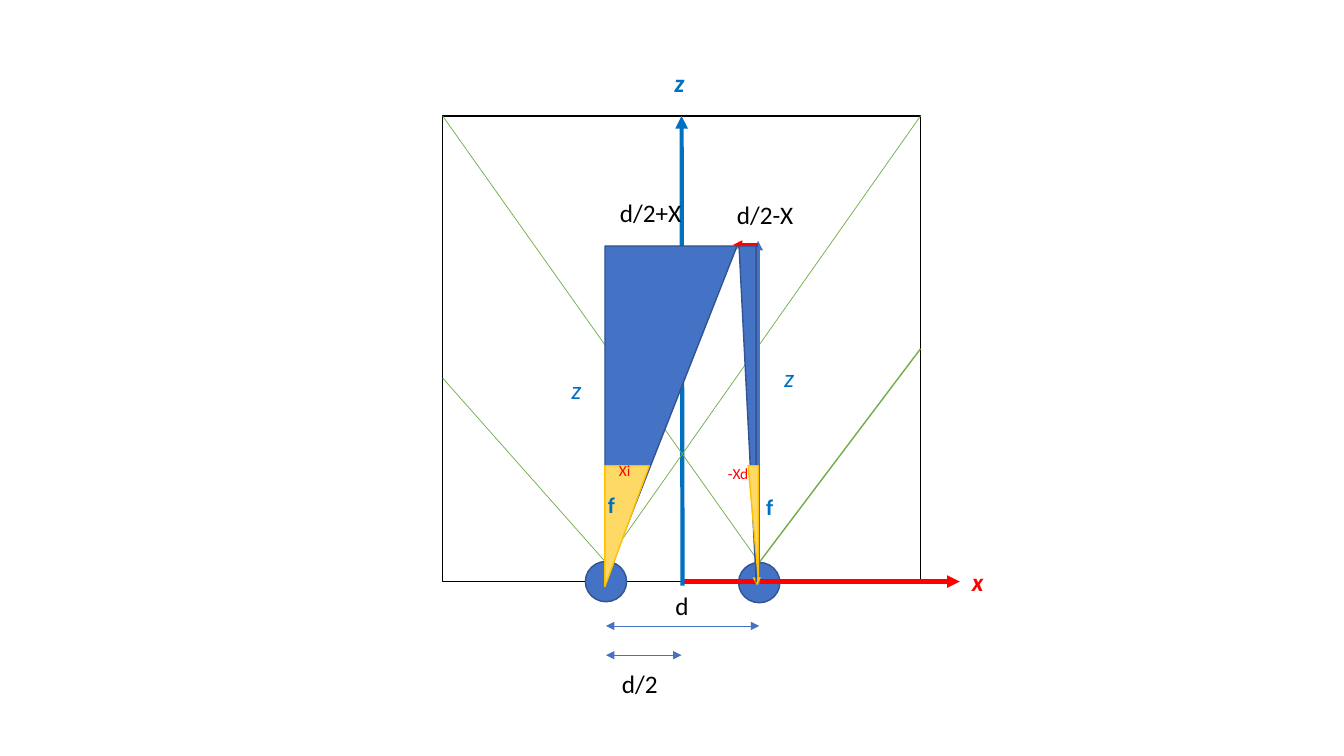
from pptx import Presentation
from pptx.dml.color import RGBColor
from pptx.enum.dml import MSO_LINE_DASH_STYLE as DASH
from pptx.enum.shapes import MSO_CONNECTOR, MSO_SHAPE as SHAPE
from pptx.enum.text import MSO_AUTO_SIZE
from pptx.oxml.ns import qn
from pptx.oxml.xmlchemy import OxmlElement
from pptx.util import Inches, Pt

BLACK, RED, BLUE, AXIS_BLUE = "000000", "FF0000", "4472C4", "0070C0"
NAVY, GREEN, GOLD, YELLOW = "325491", "70AD47", "FFC000", "FFD966"

# Landmarks in grid cells
LEFT, RIGHT, TOP, BASE = 43.9, 91.3, 11.5, 57.7
CENTER = (LEFT + RIGHT) / 2
LEFT_EYE, RIGHT_EYE, EYE_TOP = 60.1, 75.3, 55.8
EYE_W, EYE_H = 4.1, 4
DEPTH, FOCUS = 24.4, 46.2


def rgb(hex_string):
    return RGBColor.from_string(hex_string)


class Diagram:
    """Draws on one slide; lengths are columns and rows of a tenth of an inch."""
    font = "Calibri"
    cell = Inches(0.1)

    def __init__(self, slide):
        self.shapes = slide.shapes

    def grid(self, *cells):
        return [round(c * self.cell) for c in cells]

    def shape(self, kind, x, y, w, h, fill, line):
        sp = self.shapes.add_shape(kind, *self.grid(x, y, w, h))
        sp.shadow.inherit = False
        if fill:
            sp.fill.solid()
            sp.fill.fore_color.rgb = rgb(fill)
        else:
            sp.fill.background()
        sp.line.color.rgb = rgb(line)
        sp.line.width = Pt(1)
        return sp

    def eye(self, x, y):
        self.shape(SHAPE.OVAL, x - EYE_W / 2, y, EYE_W, EYE_H, BLUE, NAVY)

    def triangle(self, x, y, w, h, fill, line, mirror=False):
        """Right triangle hanging from its flat top; mirror puts the right angle at left."""
        sp = self.shape(SHAPE.RIGHT_TRIANGLE, x, y, w, h, fill, line)
        sp.rotation = 180
        if mirror:
            sp.element.spPr.find(qn("a:xfrm")).set("flipH", "1")

    def line(self, start, end, color, width=0.5, heads=(), dash=None):
        """heads names the arrow ends: headEnd at start, tailEnd at end."""
        c = self.shapes.add_connector(MSO_CONNECTOR.STRAIGHT, *self.grid(*start, *end))
        c.line.color.rgb = rgb(color)
        c.line.width = Pt(width)
        if dash:
            c.line.dash_style = dash
        spPr = c.element.spPr
        for head in heads:
            arrow = OxmlElement(f"a:{head}")
            arrow.set("type", "triangle")
            spPr.find(qn("a:ln")).append(arrow)
        spPr.append(OxmlElement("a:effectLst"))
        return c

    def label(self, text, x, y, w, h=4, color=BLACK, size=18, bold=False,
              italic=False, wrap=False):
        tf = self.shapes.add_textbox(*self.grid(x, y, w, h)).text_frame
        tf.word_wrap = wrap
        tf.auto_size = MSO_AUTO_SIZE.SHAPE_TO_FIT_TEXT
        tf.text = text
        font = tf.paragraphs[0].runs[0].font
        font.name, font.size = self.font, Pt(size)
        font.bold, font.italic = bold, italic
        font.color.rgb = rgb(color)


def main():
    prs = Presentation()
    prs.slide_width, prs.slide_height = Inches(13.33), Inches(7.5)
    d = Diagram(prs.slides.add_slide(prs.slide_layouts[6]))
    arrow, both = ("tailEnd",), ("headEnd", "tailEnd")

    # Room, eyes and the distances between them
    room = d.shape(SHAPE.RECTANGLE, LEFT, TOP, RIGHT - LEFT, BASE - TOP, None, BLACK)
    midline = d.line((CENTER, TOP), (CENTER, BASE), BLUE, dash=DASH.LONG_DASH)
    midline.begin_connect(room, 0)
    midline.end_connect(room, 2)
    d.eye(RIGHT_EYE, EYE_TOP)
    d.eye(LEFT_EYE, EYE_TOP - 0.1)
    d.line((LEFT_EYE, 62.1), (RIGHT_EYE, 62.1), BLUE, heads=both)
    d.label("d", 66, 58.1, 3.4)
    d.line((LEFT_EYE, 65), (CENTER, 65), BLUE, heads=both)
    d.label("d/2", 60.7, 65.8, 5.6)

    # Axes
    x_axis = d.line((CENTER, BASE), (95.2, BASE), RED, 3, arrow)
    x_axis.begin_connect(room, 2)
    z_axis = d.line((67.7, 58.1), (CENTER, TOP), AXIS_BLUE, 3, arrow)
    z_axis.end_connect(room, 0)
    d.label("x", 95.4, 55.7, 3.2, color=RED, bold=True, italic=True)
    d.label("z", 65.9, 6.2, 3, color=AXIS_BLUE, bold=True, italic=True)

    # Fields of view
    for eye, end, width in ((RIGHT_EYE, (RIGHT, 34.6), 1),
                            (RIGHT_EYE, (LEFT, TOP), 0.5),
                            (LEFT_EYE, (RIGHT, TOP), 0.5),
                            (LEFT_EYE, (LEFT, 37.5), 0.5)):
        d.line((eye, EYE_TOP), end, GREEN, width)

    # Rays of the right eye
    d.line((75.2, 58.3), (75.2, 23.9), BLUE, 2.25, arrow)
    d.line((75.1, 58.1), (73.3, 23.9), GOLD, heads=both)
    d.line((75.2, 24.3), (72.7, 24.3), RED, 2.25, arrow)

    # Similar triangles with their sides
    d.label("z", 76.8, 35.5, 3, color=AXIS_BLUE, italic=True, wrap=True)
    d.label("d/2-X", 72.1, 19.3, 13.3, wrap=True)
    d.triangle(73.3, DEPTH, 1.7, 33.3, BLUE, NAVY)
    d.triangle(60, DEPTH, 13.1, 33.3, BLUE, NAVY, mirror=True)
    d.label("z", 55.7, 36.6, 3, color=AXIS_BLUE, italic=True, wrap=True)
    d.label("d/2+X", 60.5, 19.1, 13.3, wrap=True)
    d.triangle(60, FOCUS, 4.4, 12, YELLOW, GOLD, mirror=True)
    d.label("Xi", 60.4, 45.3, 3.2, 2.9, RED, 11)
    d.label("f", 59.3, 48.2, 2.7, 3.7, AXIS_BLUE, 16, bold=True)
    d.triangle(74.2, FOCUS, 1, 11.1, YELLOW, GOLD)
    d.label("-Xd", 71.2, 45.6, 4.1, 2.9, RED, 11)
    d.label("f", 75, 48.4, 2.7, 3.7, AXIS_BLUE, 16, bold=True)

    prs.save("out.pptx")


if __name__ == "__main__":
    main()
